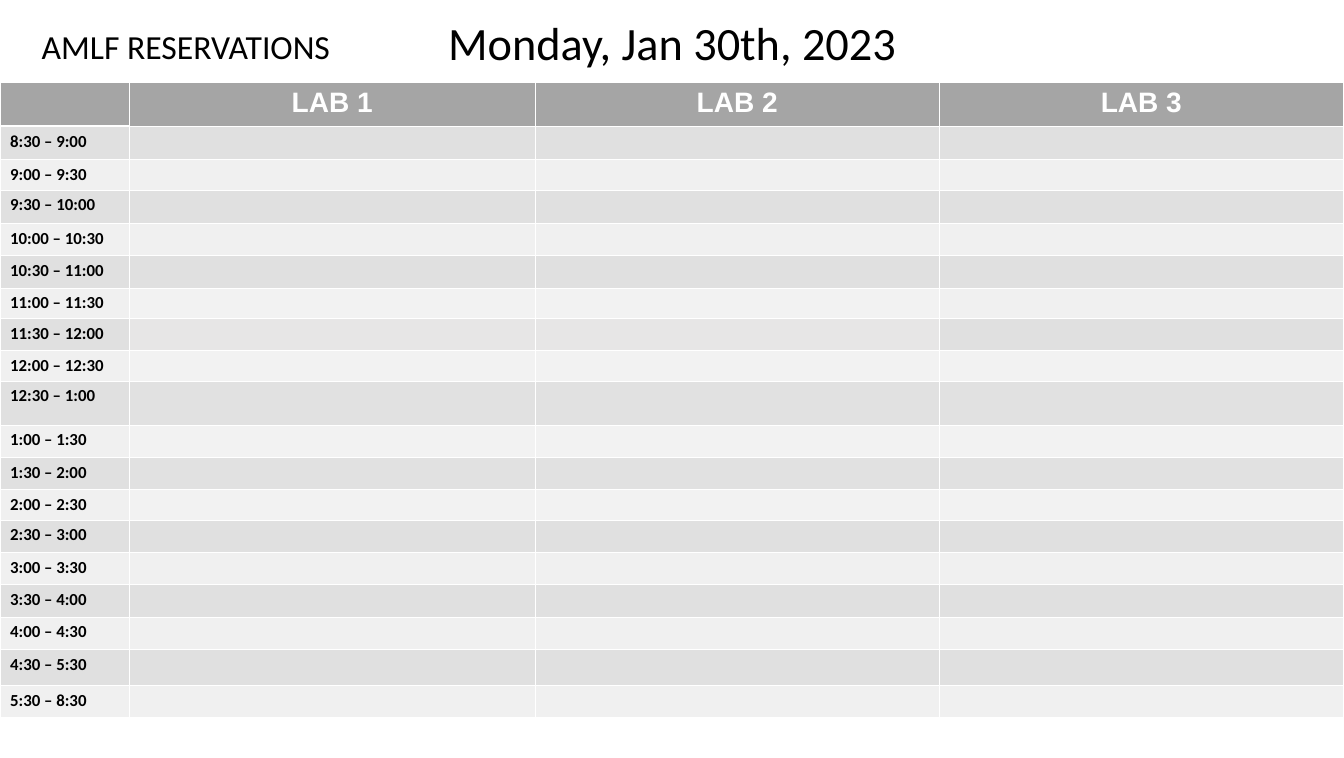
from pptx import Presentation
from pptx.dml.color import RGBColor
from pptx.enum.text import MSO_ANCHOR as ANCHOR, MSO_AUTO_SIZE as AUTO, PP_ALIGN as ALIGN
from pptx.oxml.ns import qn
from pptx.util import Pt
from lxml import etree

PX = 9144  # EMU per px, 100 px to the inch

LABS = ["LAB 1", "LAB 2", "LAB 3"]
TIMES = ["8:30", "9:00", "9:30", "10:00", "10:30", "11:00", "11:30", "12:00", "12:30",
         "1:00", "1:30", "2:00", "2:30", "3:00", "3:30", "4:00", "4:30", "5:30", "8:30"]
COL_WIDTHS = [256, 803, 800, 800]
ROW_HEIGHTS = [83, 66, 46, 66, 64, 64, 55, 64, 58, 87,
               64, 64, 33, 64, 64, 64, 64, 71, 64]
HEADER, DARK, LIGHT = "A5A5A5", "E0E0E0", "F0F0F0"
THICK_BELOW = {(0, 0), (1, 1), (1, 2), (1, 3), (4, 3)}  # (row, column)


def px(n):
    return n * PX


def color(value):
    return RGBColor.from_string(value)


def set_font(p, name, size, value, bold=False):
    f = p.font
    f.name, f.size, f.bold = name, Pt(size), bold
    f.color.rgb = color(value)


def set_borders(cell, **widths):
    tcPr = cell._tc.get_or_add_tcPr()
    for side in "LRTB":
        ln = etree.SubElement(tcPr, qn(f"a:ln{side}"), w=str(Pt(widths.get(side, 1))))
        fill = etree.SubElement(ln, qn("a:solidFill"))
        etree.SubElement(fill, qn("a:srgbClr"), val="FFFFFF")


def cell_fill(row, col):
    if row == 0:
        return HEADER
    dark = row % 2 == 1
    if col and 8 <= row <= 12:
        return "E1E1E1" if dark else "F2F2F2"
    if col in (1, 2) and row in (6, 7):
        return "E7E6E6" if dark else "F2F2F2"
    return DARK if dark else LIGHT


def write_cell(cell, text, font, size, value, align):
    cell.margin_left = cell.margin_right = px(20)
    cell.margin_top = cell.margin_bottom = px(10)
    p = cell.text_frame.paragraphs[0]
    p.text = text
    p.alignment = align
    set_font(p, font, size, value, bold=True)


def add_schedule(s, left, top):
    frame = s.shapes.add_table(len(ROW_HEIGHTS), len(COL_WIDTHS), px(left), px(top),
                               px(sum(COL_WIDTHS)), px(sum(ROW_HEIGHTS)))
    table = frame.table
    for column, width in zip(table.columns, COL_WIDTHS):
        column.width = px(width)
    for row, height in zip(table.rows, ROW_HEIGHTS):
        row.height = px(height)

    # Fills and borders
    for r in range(len(ROW_HEIGHTS)):
        for c in range(len(COL_WIDTHS)):
            cell = table.cell(r, c)
            set_borders(cell, T=3 if (r - 1, c) in THICK_BELOW else 1,
                        B=3 if (r, c) in THICK_BELOW else 1)
            cell.fill.solid()
            cell.fill.fore_color.rgb = color(cell_fill(r, c))

    # Lab names across, half-hour slots down
    for c, lab in enumerate(LABS, 1):
        write_cell(table.cell(0, c), lab, "Arial", 40, "FFFFFF", ALIGN.CENTER)
    for r, (start, end) in enumerate(zip(TIMES, TIMES[1:]), 1):
        write_cell(table.cell(r, 0), f"{start} – {end}", "Calibri", 24, "000000", ALIGN.LEFT)


def write_heading(sp, text, size, left, top, width, height):
    sp.left, sp.top, sp.width, sp.height = map(px, (left, top, width, height))
    tf = sp.text_frame
    tf.word_wrap = True
    tf.auto_size = AUTO.SHAPE_TO_FIT_TEXT
    tf.vertical_anchor = ANCHOR.TOP
    p = tf.paragraphs[0]
    p.text = text
    p.alignment = ALIGN.CENTER
    set_font(p, "Calibri", size, "000000")


def main():
    prs = Presentation()
    prs.slide_width, prs.slide_height = px(2660), px(1500)
    s = prs.slides.add_slide(prs.slide_layouts[5])

    add_schedule(s, 0, 163)
    write_heading(s.shapes.title, "Monday, Jan 30th, 2023", 66, 698, 23, 1265, 121)
    label = s.shapes.add_textbox(0, 0, 0, 0)
    write_heading(label, "AMLF RESERVATIONS", 48, -99, 46, 934, 91)

    prs.save("out.pptx")


if __name__ == "__main__":
    main()
